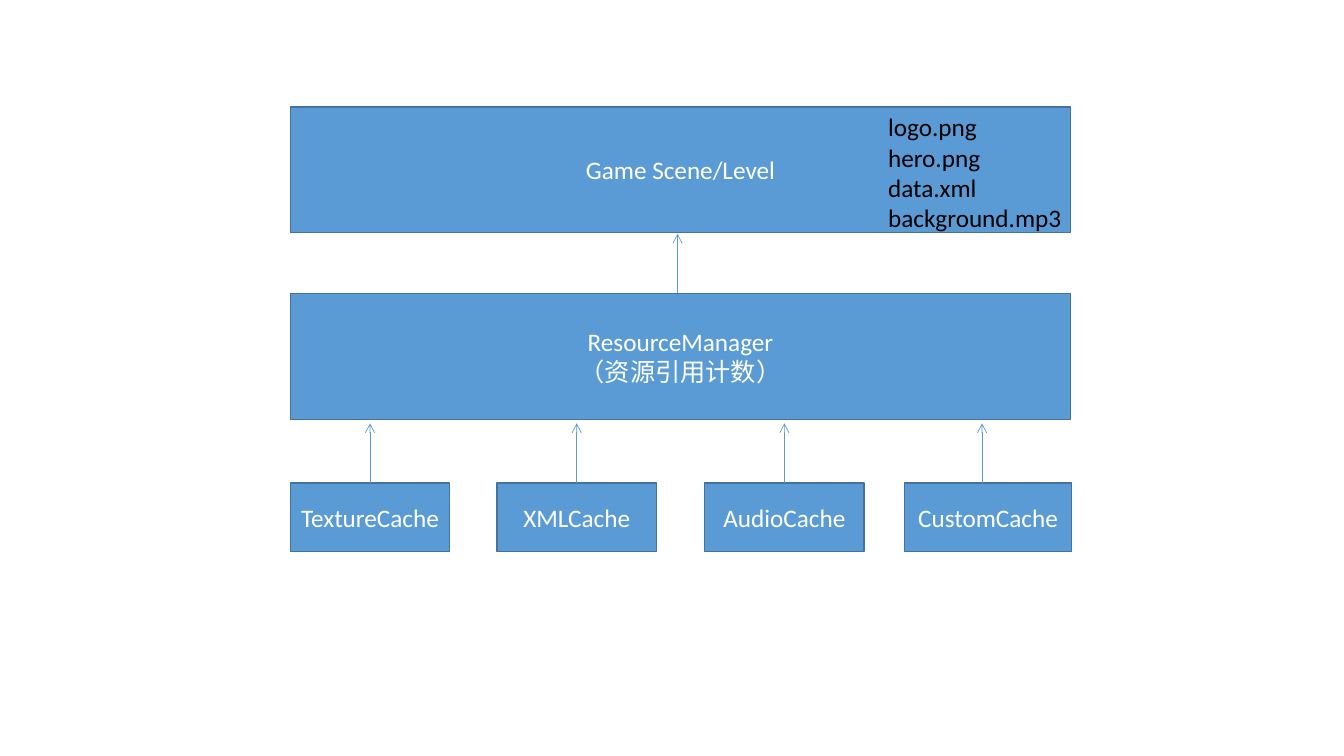
from pptx import Presentation
from pptx.dml.color import RGBColor
from pptx.enum.shapes import MSO_CONNECTOR, MSO_SHAPE
from pptx.enum.text import MSO_ANCHOR, MSO_AUTO_SIZE, PP_ALIGN
from pptx.oxml.ns import qn
from pptx.util import Inches, Pt
from lxml.etree import SubElement

# Content
SCENE = ["Game Scene/Level"]
MANAGER = ["ResourceManager", "（资源引用计数）"]
ASSETS = ["logo.png", "hero.png", "data.xml", "background.mp3"]
# Cache name, left, width, arrow x, whether the arrow leaves from the box's middle
CACHES = [
    ("TextureCache", 2.88, 1.58, 3.67, True),
    ("XMLCache", 4.93, 1.58, 5.72, True),
    ("AudioCache", 6.99, 1.58, 7.77, True),
    ("CustomCache", 8.97, 1.66, 9.74, False),
]

# Layout and colours
LAYER_LEFT, LAYER_WIDTH, LAYER_HEIGHT = 2.88, 7.74, 1.25
SCENE_TOP, MANAGER_TOP, CACHE_TOP = 1.06, 2.91, 4.79
CACHE_HEIGHT = 0.68
ARROW_LENGTH = 0.59
MANAGER_ARROW_X = 6.72
BLUE = RGBColor(0x5B, 0x9B, 0xD5)
DARK_BLUE = RGBColor(0x43, 0x73, 0x9E)
WHITE = RGBColor(0xFF, 0xFF, 0xFF)
BLACK = RGBColor(0, 0, 0)


def write(frame, lines, color=WHITE, align=PP_ALIGN.CENTER, size=18, font="Calibri"):
    for i, line in enumerate(lines):
        paragraph = frame.paragraphs[0] if i == 0 else frame.add_paragraph()
        paragraph.alignment = align
        run = paragraph.add_run()
        run.text = line
        run.font.name = font
        run.font.size = Pt(size)
        run.font.color.rgb = color


def add_box(slide, lines, left, top, width, height):
    box = slide.shapes.add_shape(MSO_SHAPE.RECTANGLE, Inches(left), Inches(top),
                                 Inches(width), Inches(height))
    box.shadow.inherit = False
    box.fill.solid()
    box.fill.fore_color.rgb = BLUE
    box.line.color.rgb = DARK_BLUE
    box.line.width = Pt(1)
    box.text_frame.word_wrap = True
    box.text_frame.vertical_anchor = MSO_ANCHOR.MIDDLE
    write(box.text_frame, lines)
    return box


def add_arrow(slide, x, bottom, source=None):
    arrow = slide.shapes.add_connector(MSO_CONNECTOR.STRAIGHT, Inches(x), Inches(bottom),
                                       Inches(x), Inches(bottom - ARROW_LENGTH))
    if source is not None:
        arrow.begin_connect(source, 0)
        arrow.end_x = arrow.begin_x
    arrow.line.color.rgb = BLUE
    arrow.line.width = Pt(0.5)
    properties = arrow._element.spPr
    SubElement(properties.find(qn("a:ln")), qn("a:tailEnd"), type="arrow")
    SubElement(properties, qn("a:effectLst"))


def main():
    deck = Presentation()
    deck.slide_width, deck.slide_height = Inches(13.33), Inches(7.5)
    slide = deck.slides.add_slide(deck.slide_layouts[6])

    # Scene and manager layers
    for lines, top in ((SCENE, SCENE_TOP), (MANAGER, MANAGER_TOP)):
        add_box(slide, lines, LAYER_LEFT, top, LAYER_WIDTH, LAYER_HEIGHT)

    # Caches, each feeding the manager
    for name, left, width, arrow_x, centred in CACHES:
        cache = add_box(slide, [name], left, CACHE_TOP, width, CACHE_HEIGHT)
        add_arrow(slide, arrow_x, CACHE_TOP, cache if centred else None)

    # Manager feeding the scene
    add_arrow(slide, MANAGER_ARROW_X, MANAGER_TOP)

    # Files the scene uses
    assets = slide.shapes.add_textbox(Inches(8.71), Inches(SCENE_TOP), Inches(1.92), Inches(1.31))
    assets.text_frame.word_wrap = False
    assets.text_frame.auto_size = MSO_AUTO_SIZE.SHAPE_TO_FIT_TEXT
    write(assets.text_frame, ASSETS, color=BLACK, align=PP_ALIGN.LEFT)

    deck.save("out.pptx")


if __name__ == "__main__":
    main()
